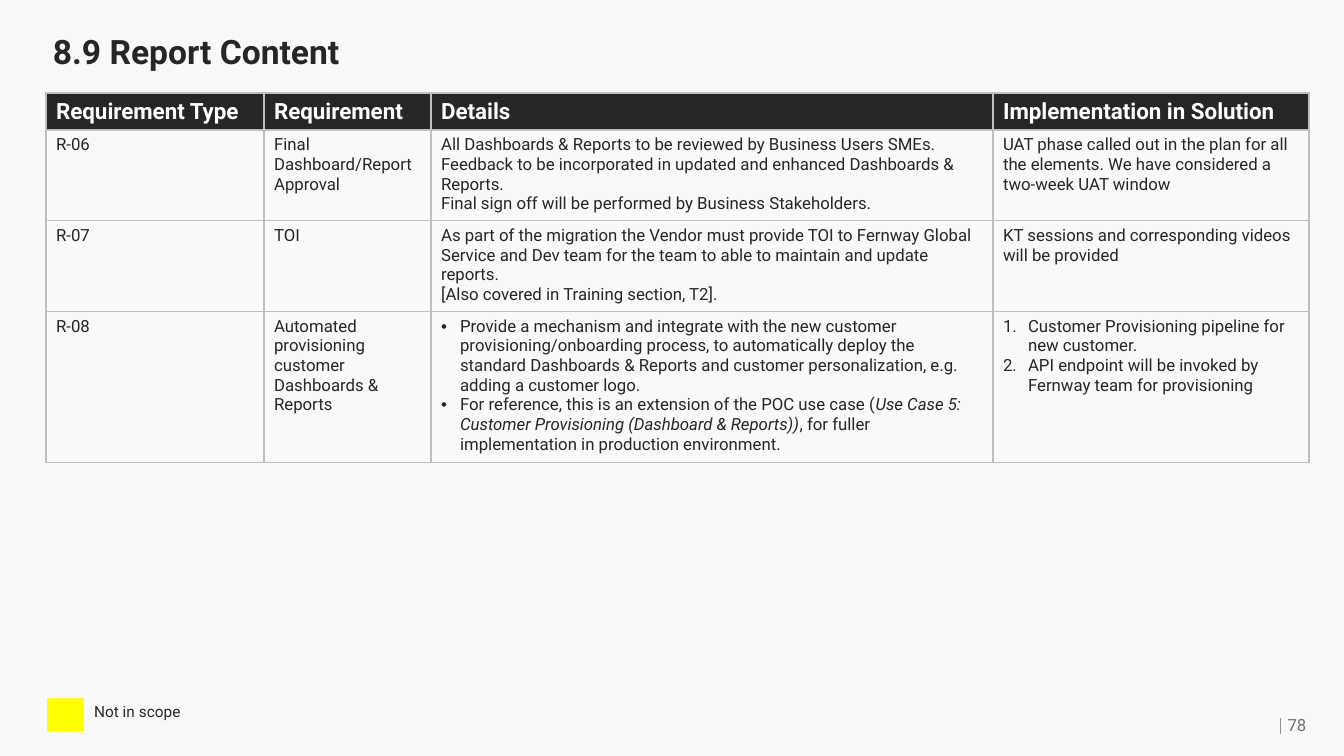
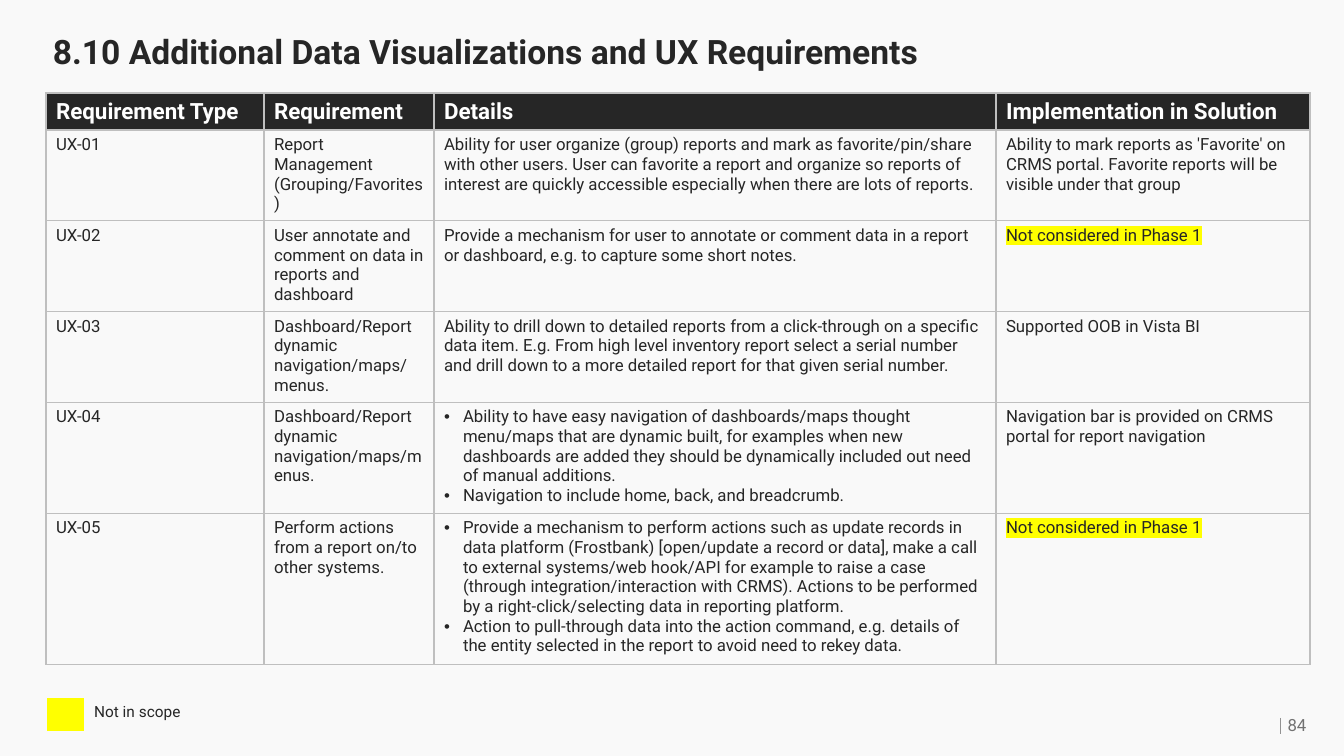
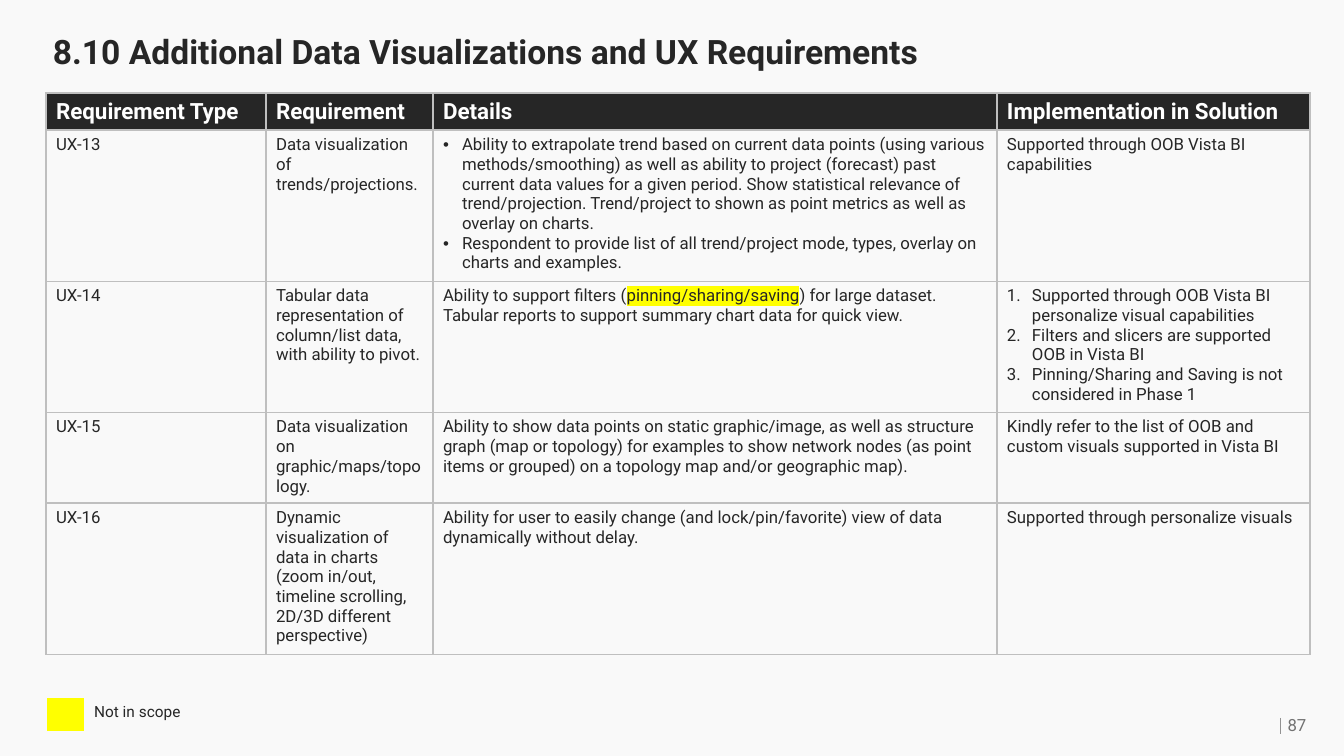
"""Build three requirement-table slides with a shared title, legend and page number."""
from dataclasses import dataclass
from typing import NamedTuple, Optional, Union

from lxml.etree import SubElement
from pptx import Presentation
from pptx.dml.color import RGBColor
from pptx.enum.shapes import MSO_CONNECTOR
from pptx.enum.text import MSO_ANCHOR, PP_ALIGN
from pptx.oxml.ns import qn
from pptx.util import Emu, Pt

SLIDE_W, SLIDE_H = 1344, 756
EMU_PER_PX = 12192000 / SLIDE_W
FONT = "Roboto"
PAPER = RGBColor(0xF9, 0xF9, 0xF9)
INK = RGBColor(0x26, 0x26, 0x26)
WHITE = RGBColor(0xFF, 0xFF, 0xFF)
GRID = RGBColor(0xBF, 0xBF, 0xBF)
RULE = RGBColor(0x92, 0x92, 0x92)
PAGE_GREY = RGBColor(0x72, 0x72, 0x72)
YELLOW = RGBColor(0xFF, 0xFF, 0x00)
PLAIN_STYLE = "{2D5ABB26-0587-4C30-8999-92F81FD0307C}"
HEADINGS = ("Requirement Type", "Requirement", "Details", "Implementation in Solution")
HEADER_H = 36
MARKER_INDENT = {"bullet": 19, "number": 25}


class Run(NamedTuple):
    text: str
    italic: bool = False
    marked: bool = False


class Para(NamedTuple):
    runs: tuple[Run, ...]
    marker: Optional[str] = None


Content = Union[str, list[Para]]


@dataclass
class Requirement:
    code: str
    name: Content
    details: Content
    solution: Content
    height: int = 89


@dataclass
class RequirementSlide:
    title: str
    page: int
    columns: tuple[int, ...]
    requirements: list[Requirement]


def px(length: int) -> Emu:
    return Emu(round(length * EMU_PER_PX))


def lines(*texts: str, marker: Optional[str] = None) -> list[Para]:
    return [Para((Run(text),), marker) for text in texts]


def bullets(*texts: str) -> list[Para]:
    return lines(*texts, marker="bullet")


def numbers(*texts: str) -> list[Para]:
    return lines(*texts, marker="number")


def add_marker(paragraph, marker: str) -> None:
    properties = paragraph._p.get_or_add_pPr()
    indent = px(MARKER_INDENT[marker])
    properties.set("marL", str(indent))
    properties.set("indent", str(-indent))
    if marker == "bullet":
        SubElement(properties, qn("a:buFont"), typeface="Arial")
        SubElement(properties, qn("a:buChar"), char="•")
    else:
        SubElement(properties, qn("a:buFont"), typeface="+mj-lt")
        SubElement(properties, qn("a:buAutoNum"), type="arabicPeriod")


def highlight(run) -> None:
    mark = SubElement(run._r.rPr, qn("a:highlight"))
    SubElement(mark, qn("a:srgbClr"), val=str(YELLOW))


def write_text(frame, text: Content, *, size: int = 12, color: RGBColor = INK,
               bold: bool = False, align: PP_ALIGN = PP_ALIGN.LEFT,
               spacing: float = 1.0) -> None:
    frame.word_wrap = True
    paras = lines(text) if isinstance(text, str) else text
    for index, para in enumerate(paras):
        paragraph = frame.add_paragraph() if index else frame.paragraphs[0]
        paragraph.alignment = align
        paragraph.line_spacing = spacing
        if para.marker:
            add_marker(paragraph, para.marker)
        for part in para.runs:
            run = paragraph.add_run()
            run.text = part.text
            run.font.size = Pt(size)
            run.font.bold = bold
            run.font.italic = part.italic
            run.font.color.rgb = color
            if part.marked:
                highlight(run)
            run.font.name = FONT


def add_grid(slide, left: int, top: int, columns: tuple[int, ...], rows: list[int]):
    frame = slide.shapes.add_table(len(rows), len(columns), px(left), px(top),
                                   px(sum(columns)), px(sum(rows)))
    table = frame.table
    table.first_row = table.horz_banding = False
    table._tbl.tblPr.find(qn("a:tableStyleId")).text = PLAIN_STYLE
    for column, width in zip(table.columns, columns):
        column.width = px(width)
    for row, height in zip(table.rows, rows):
        row.height = px(height)
    return table


def fill_cell(cell, color: Optional[RGBColor] = None) -> None:
    if color is None:
        cell.fill.background()
    else:
        cell.fill.solid()
        cell.fill.fore_color.rgb = color


def border_cell(cell) -> None:
    properties = cell._tc.get_or_add_tcPr()
    for side in ("lnL", "lnR", "lnT", "lnB"):
        edge = SubElement(properties, qn(f"a:{side}"), w=str(Pt(1)))
        SubElement(SubElement(edge, qn("a:solidFill")), qn("a:srgbClr"), val=str(GRID))


def add_requirements(slide, content: RequirementSlide) -> None:
    heights = [HEADER_H] + [item.height for item in content.requirements]
    table = add_grid(slide, 46, 93, content.columns, heights)
    for cell, heading in zip(table.rows[0].cells, HEADINGS):
        border_cell(cell)
        fill_cell(cell, INK)
        cell.vertical_anchor = MSO_ANCHOR.MIDDLE
        write_text(cell.text_frame, heading, size=16, color=WHITE, bold=True)
    for row, item in enumerate(content.requirements, start=1):
        texts = (item.code, item.name, item.details, item.solution)
        for cell, text in zip(table.rows[row].cells, texts):
            border_cell(cell)
            fill_cell(cell)
            write_text(cell.text_frame, text)


def add_title(slide, title: str) -> None:
    box = slide.shapes.add_textbox(px(43), px(31), px(1030), px(53))
    write_text(box.text_frame, title, size=24, bold=True, spacing=0.9)


def add_legend(slide) -> None:
    swatch, label = add_grid(slide, 47, 698, (37, 180), [33]).rows[0].cells
    swatch.margin_top = swatch.margin_bottom = 0
    fill_cell(swatch, YELLOW)
    fill_cell(label)
    write_text(label.text_frame, "Not in scope", size=11)


def add_page_number(slide, page: int) -> None:
    rule = slide.shapes.add_connector(MSO_CONNECTOR.STRAIGHT, px(1280), px(718),
                                      px(1280), px(734))
    rule.line.color.rgb = RULE
    rule.line.width = Pt(0.5)
    SubElement(rule._element.spPr, qn("a:effectLst"))
    box = slide.shapes.add_textbox(px(1274), px(711), px(46), px(27))
    box.text_frame.vertical_anchor = MSO_ANCHOR.MIDDLE
    write_text(box.text_frame, str(page), color=PAGE_GREY, align=PP_ALIGN.CENTER)


OUT_OF_PHASE = [Para((Run("Not considered in Phase 1", marked=True),))]
UX_TITLE = "8.10 Additional Data Visualizations and UX Requirements"

SLIDES = [
    RequirementSlide("8.9 Report Content", 78, (218, 167, 562, 316), [
        Requirement(
            "R-06", "Final Dashboard/Report Approval",
            lines("All Dashboards & Reports to be reviewed by Business Users SMEs. Feedback to "
                  "be incorporated in updated and enhanced Dashboards & Reports.",
                  "Final sign off will be performed by Business Stakeholders."),
            "UAT phase called out in the plan for all the elements. We have considered a "
            "two-week UAT window"),
        Requirement(
            "R-07", "TOI",
            lines("As part of the migration the Vendor must provide TOI to Fernway Global "
                  "Service and Dev team for the team to able to maintain and update reports.",
                  "[Also covered in Training section, T2]."),
            "KT sessions and corresponding videos will be provided"),
        Requirement(
            "R-08", "Automated provisioning customer Dashboards & Reports",
            bullets("Provide a mechanism and integrate with the new customer "
                    "provisioning/onboarding process, to automatically deploy the standard "
                    "Dashboards & Reports and customer personalization, e.g. adding a "
                    "customer logo.")
            + [Para((Run("For reference, this is an extension of the POC use case ("),
                     Run("Use Case 5: Customer Provisioning (Dashboard & Reports))", italic=True),
                     Run(", for fuller implementation in production environment.")), "bullet")],
            numbers("Customer Provisioning pipeline for new customer.",
                    "API endpoint will be invoked by Fernway team for provisioning"),
            148),
    ]),
    RequirementSlide(UX_TITLE, 84, (218, 170, 562, 314), [
        Requirement(
            "UX-01", "Report Management (Grouping/Favorites)",
            "Ability for user organize (group) reports and mark as favorite/pin/share with other "
            "users. User can favorite a report and organize so reports of interest are quickly "
            "accessible especially when there are lots of reports.",
            "Ability to mark reports as 'Favorite' on CRMS portal. Favorite reports will be "
            "visible under that group"),
        Requirement(
            "UX-02", "User annotate and comment on data in reports and dashboard",
            "Provide a mechanism for user to annotate or comment data in a report or dashboard, "
            "e.g. to capture some short notes.",
            OUT_OF_PHASE),
        Requirement(
            "UX-03", lines("Dashboard/Report dynamic navigation/maps/", "menus."),
            "Ability to drill down to detailed reports from a click-through on a specific data "
            "item. E.g. From high level inventory report select a serial number and drill down "
            "to a more detailed report for that given serial number.",
            "Supported OOB in Vista BI"),
        Requirement(
            "UX-04", "Dashboard/Report dynamic navigation/maps/menus.",
            bullets("Ability to have easy navigation of dashboards/maps thought menu/maps that "
                    "are dynamic built, for examples when new dashboards are added they should "
                    "be dynamically included out need of manual additions.",
                    "Navigation to include home, back, and breadcrumb."),
            "Navigation bar is provided on CRMS portal for report navigation",
            108),
        Requirement(
            "UX-05", "Perform actions from a report on/to other systems.",
            bullets("Provide a mechanism to perform actions such as update records in data "
                    "platform (Frostbank) [open/update a record or data], make a call to "
                    "external systems/web hook/API for example to raise a case (through "
                    "integration/interaction with CRMS). Actions to be performed by a "
                    "right-click/selecting data in reporting platform.",
                    "Action to pull-through data into the action command, e.g. details of the "
                    "entity selected in the report to avoid need to rekey data."),
            OUT_OF_PHASE, 148),
    ]),
    RequirementSlide(UX_TITLE, 87, (220, 167, 564, 313), [
        Requirement(
            "UX-13", "Data visualization of trends/projections.",
            bullets("Ability to extrapolate trend based on current data points (using various "
                    "methods/smoothing) as well as ability to project (forecast) past current "
                    "data values for a given period. Show statistical relevance of "
                    "trend/projection. Trend/project to shown as point metrics as well as "
                    "overlay on charts.",
                    "Respondent to provide list of all trend/project mode, types, overlay on "
                    "charts and examples."),
            "Supported through OOB Vista BI capabilities",
            148),
        Requirement(
            "UX-14", "Tabular data representation of column/list data, with ability to pivot.",
            [Para((Run("Ability to support filters ("),
                   Run("pinning/sharing/saving", marked=True),
                   Run(") for large dataset. Tabular reports to support summary chart data for "
                       "quick view.")))],
            numbers("Supported through OOB Vista BI personalize visual capabilities",
                    "Filters and slicers are supported OOB in Vista BI",
                    "Pinning/Sharing and Saving is not considered in Phase 1"),
            128),
        Requirement(
            "UX-15", "Data visualization on graphic/maps/topology.",
            "Ability to show data points on static graphic/image, as well as structure graph "
            "(map or topology) for examples to show network nodes (as point items or grouped) on "
            "a topology map and/or geographic map).",
            "Kindly refer to the list of OOB and custom visuals supported in Vista BI"),
        Requirement(
            "UX-16",
            "Dynamic visualization of data in charts (zoom in/out, timeline scrolling, 2D/3D "
            "different perspective)",
            "Ability for user to easily change (and lock/pin/favorite) view of data dynamically "
            "without delay.",
            "Supported through personalize visuals",
            148),
    ]),
]


def main() -> None:
    deck = Presentation()
    deck.slide_width, deck.slide_height = px(SLIDE_W), px(SLIDE_H)
    backdrop = deck.slide_master.background.fill
    backdrop.solid()
    backdrop.fore_color.rgb = PAPER
    for content in SLIDES:
        slide = deck.slides.add_slide(deck.slide_layouts[6])
        add_page_number(slide, content.page)
        add_title(slide, content.title)
        add_requirements(slide, content)
        add_legend(slide)
    deck.save("out.pptx")


if __name__ == "__main__":
    main()
